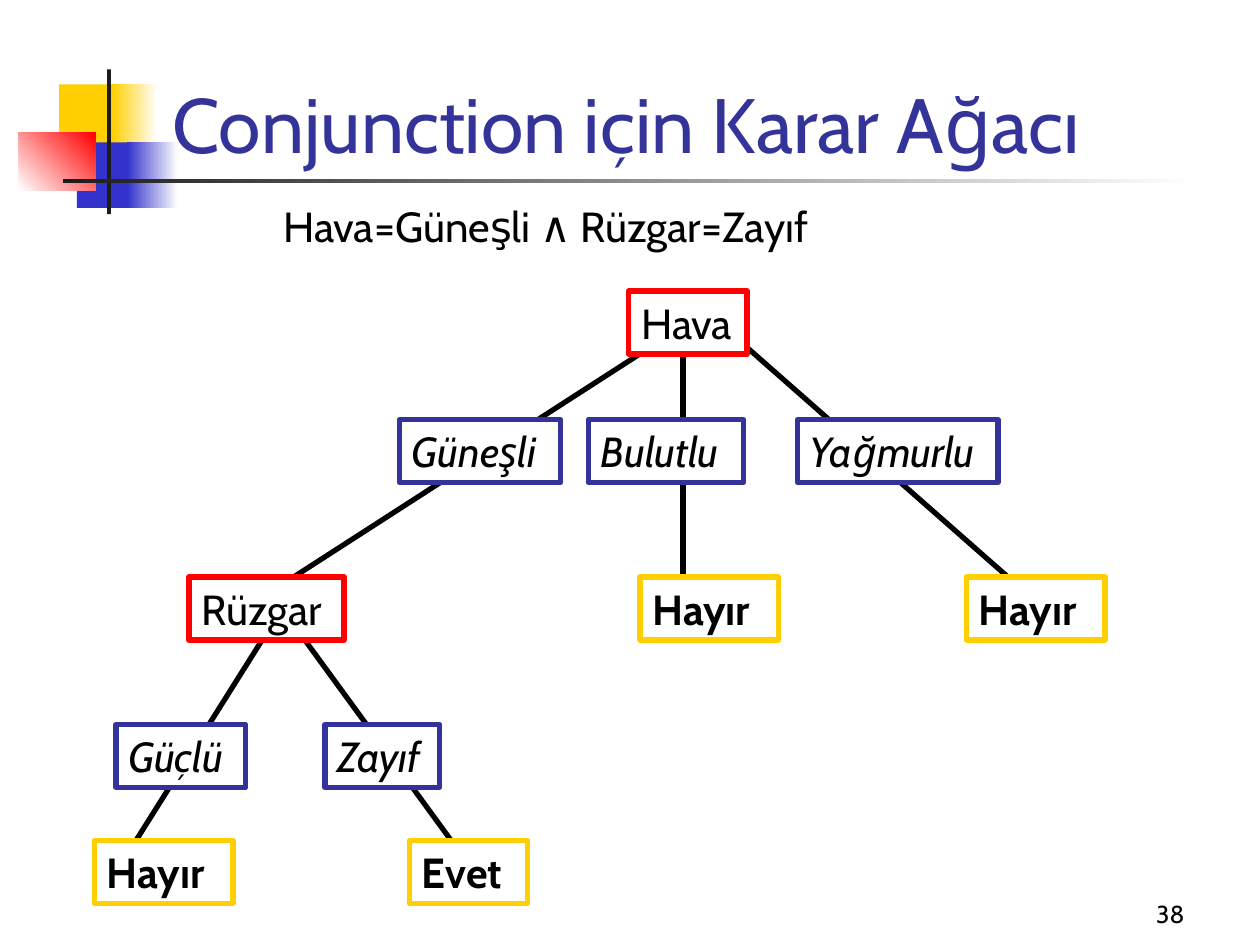
"""Build the decision tree slide for a conjunction."""
from pptx import Presentation
from pptx import util as u
from pptx.dml import color
from pptx.enum import shapes, text
from pptx.oxml import ns
from lxml import etree

BLACK, WHITE, INK = "000000", "FFFFFF", "1C1C1C"
YELLOW, BLUE, RED, NAVY = "FFCF01", "3333CC", "FF0000", "333399"


def rgb(value):
    """Turn a hex string into a colour."""
    return color.RGBColor.from_string(value)


class TreeSlide:
    """Hold the style and the current slide."""

    font = "Cabin"
    line_width = u.Pt(3)
    node_height = 0.5

    def __init__(self, slide):
        """Keep the slide to draw on."""
        self.slide = slide

    def add_words(self, frame, words, size=24, ink=BLACK, align=text.PP_ALIGN.LEFT,
                  bold=False, italic=False):
        """Put one formatted run into a text frame."""
        paragraph = frame.paragraphs[0]
        paragraph.alignment = align
        run = paragraph.add_run()
        run.text = words
        font = run.font
        font.name, font.size = self.font, u.Pt(size)
        font.bold, font.italic = bold, italic
        font.color.rgb = rgb(ink)

    def rectangle(self, left, top, width, height):
        """Add a bare rectangle without shadow."""
        block = self.slide.shapes.add_shape(
            shapes.MSO_SHAPE.RECTANGLE, *map(u.Inches, (left, top, width, height)))
        block.shadow.inherit = False
        return block

    def ornament(self, place, start, end=None, angle=0):
        """Add a borderless block, plain or fading between two colours."""
        block = self.rectangle(*place)
        block.line.fill.background()
        if end is None:
            block.fill.solid()
            block.fill.fore_color.rgb = rgb(start)
            return
        block.fill.gradient()
        block.fill.gradient_angle = angle
        for stop, shade in zip(block.fill.gradient_stops, (start, end)):
            stop.color.rgb = rgb(shade)

    def title(self, words):
        """Fill the title placeholder and lay it over the ornaments."""
        heading = self.slide.shapes.title
        heading.left, heading.top, heading.width, heading.height = map(
            u.Inches, (1.27, 0.14, 8.52, 1.25))
        frame = heading.text_frame
        frame.auto_size = text.MSO_AUTO_SIZE.NONE
        frame.vertical_anchor = text.MSO_ANCHOR.BOTTOM
        self.add_words(frame, words, 44, NAVY)
        self.slide.shapes.element.append(heading.element)

    def label(self, place, words, wrap=False, anchor=text.MSO_ANCHOR.TOP, **style):
        """Add a free text box."""
        frame = self.slide.shapes.add_textbox(*map(u.Inches, place)).text_frame
        frame.word_wrap = wrap
        frame.vertical_anchor = anchor
        self.add_words(frame, words, **style)

    def branch(self, start, end):
        """Add a straight line between two points."""
        edge = self.slide.shapes.add_connector(
            shapes.MSO_CONNECTOR.STRAIGHT, *map(u.Inches, start + end))
        edge.line.color.rgb = rgb(BLACK)
        edge.line.width = self.line_width
        etree.SubElement(edge.element.spPr, ns.qn("a:effectLst"))

    def node(self, left, top, width, words, border, **style):
        """Add a framed tree node."""
        box = self.rectangle(left, top, width, self.node_height)
        box.fill.solid()
        box.fill.fore_color.rgb = rgb(WHITE)
        box.line.color.rgb = rgb(border)
        box.line.width = self.line_width
        frame = box.text_frame
        frame.word_wrap = False
        frame.auto_size = text.MSO_AUTO_SIZE.SHAPE_TO_FIT_TEXT
        frame.vertical_anchor = text.MSO_ANCHOR.TOP
        self.add_words(frame, words, **style)

    def attribute(self, *place_and_words):
        """Add a tested attribute."""
        self.node(*place_and_words, RED)

    def value(self, *place_and_words):
        """Add an attribute value."""
        self.node(*place_and_words, NAVY, italic=True)

    def decision(self, *place_and_words):
        """Add a leaf decision."""
        self.node(*place_and_words, YELLOW, bold=True)


def main():
    """Build and save the slide."""
    deck = Presentation()
    deck.slide_width, deck.slide_height = u.Inches(10), u.Inches(7.5)
    tree = TreeSlide(deck.slides.add_slide(deck.slide_layouts[5]))

    tree.ornament((0.47, 0.67, 0.48, 0.52), YELLOW)
    tree.ornament((0.89, 0.67, 0.36, 0.52), YELLOW, WHITE)
    tree.ornament((0.61, 1.13, 0.46, 0.52), BLUE)
    tree.ornament((1.01, 1.13, 0.4, 0.52), BLUE, WHITE)
    tree.ornament((0.15, 1.05, 0.61, 0.46), WHITE, RED, 45)
    tree.ornament((0.85, 0.55, 0.03, 1.15), INK)
    tree.ornament((0.5, 1.42, 9, 0.03), INK, WHITE)

    tree.title("Conjunction için Karar Ağacı")
    tree.label((2.15, 1.54, 4.66, 0.5), "Hava=Güneşli ∧ Rüzgar=Zayıf")
    tree.label((7.42, 6.92, 2.08, 0.5), "38", wrap=True, size=14,
               anchor=text.MSO_ANCHOR.BOTTOM, align=text.PP_ALIGN.RIGHT)

    root_values, second_level, wind_values, leaves = 3.33, 4.58, 5.75, 6.67
    for start, end in (
        ((5.17, 2.75), (2.33, second_level)),
        ((5.42, 2.83), (5.42, second_level)),
        ((5.92, 2.75), (8, second_level)),
        ((2.08, 5.08), (1.08, leaves)),
        ((2.42, 5.08), (3.58, leaves)),
    ):
        tree.branch(start, end)

    tree.attribute(4.99, 2.31, 0.94, "Hava")
    tree.attribute(1.5, second_level, 1.23, "Rüzgar")
    for left, top, width, words in (
        (3.17, root_values, 1.28, "Güneşli"),
        (4.67, root_values, 1.23, "Bulutlu"),
        (6.33, root_values, 1.59, "Yağmurlu"),
        (0.92, wind_values, 1.03, "Güçlü"),
        (2.58, wind_values, 0.91, "Zayıf"),
    ):
        tree.value(left, top, width, words)
    for left, top, width, words in (
        (5.08, second_level, 1.1, "Hayır"),
        (7.67, second_level, 1.1, "Hayır"),
        (0.75, leaves, 1.1, "Hayır"),
        (3.25, leaves, 0.94, "Evet"),
    ):
        tree.decision(left, top, width, words)

    deck.save("out.pptx")


if __name__ == "__main__":
    main()
